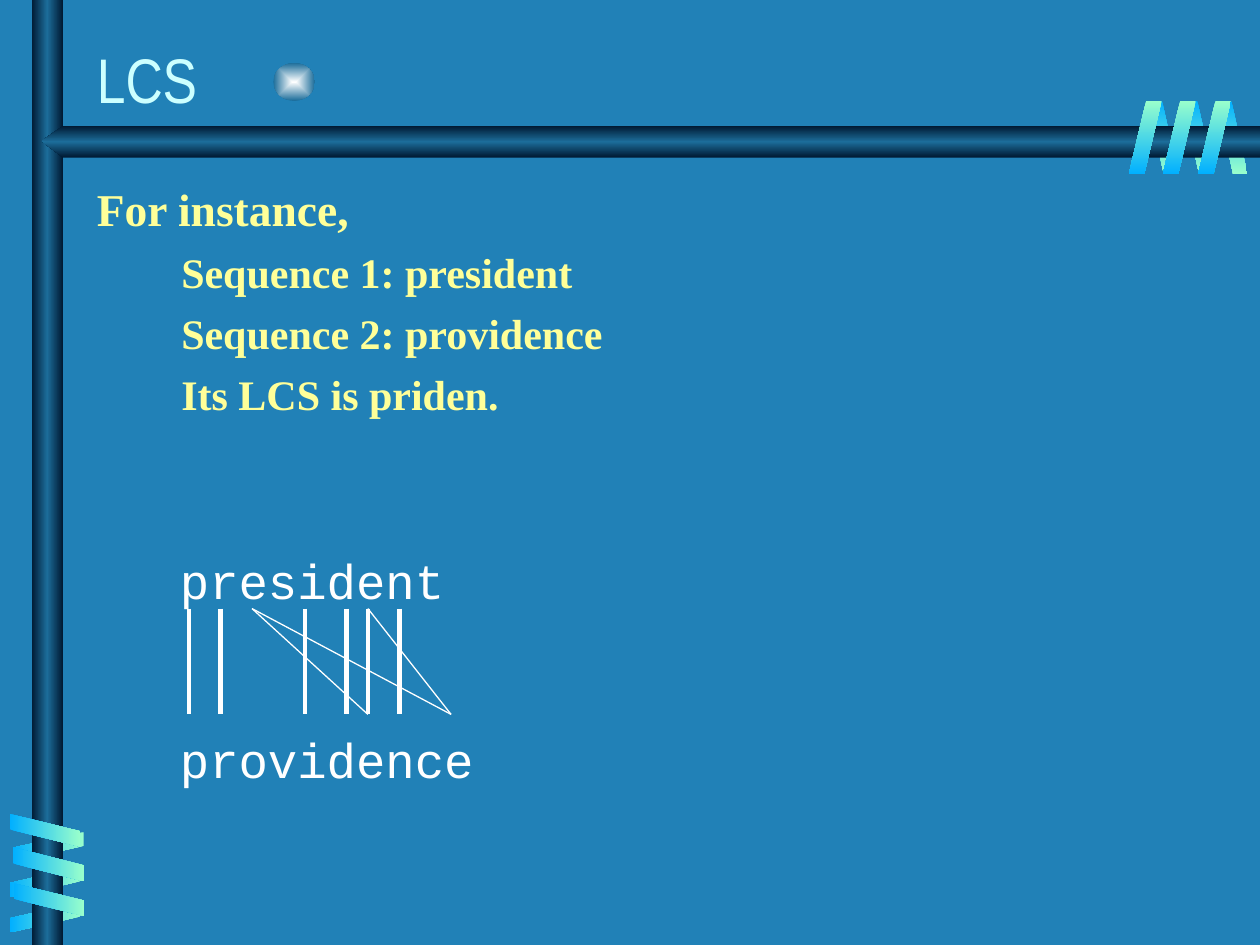
import pptx
import pptx.dml.color
import pptx.enum.dml
import pptx.enum.shapes
import pptx.enum.text
import pptx.oxml
import pptx.oxml.ns
import pptx.util

Inches = pptx.util.Inches
Pt = pptx.util.Pt
Shapes = pptx.enum.shapes.MSO_SHAPE
Anchor = pptx.enum.text.MSO_ANCHOR

BLUE, MINT = "01B0FF", "99FFCC"
NAVY, STEEL = "001932", "1C6D9A"
WHITE, YELLOW, ICE = "FFFFFF", "FFFF99", "CCFFFF"


def color(hex_value):
    return pptx.dml.color.RGBColor.from_string(hex_value)


class SlideBuilder:
    title = {"name": "Arial Narrow", "size": Pt(36), "color": ICE}
    heading = {"name": "Times New Roman", "size": Pt(26), "bold": True, "color": YELLOW}
    detail = {**heading, "size": Pt(24)}
    sequence = {"name": "Courier New", "size": Pt(28), "color": WHITE}

    def __init__(self, slide):
        self.slide = slide

    def background(self, hex_value):
        fill = self.slide.background.fill
        fill.solid()
        fill.fore_color.rgb = color(hex_value)

    def gradient(self, shape, colors, angle=None):
        step = 100000 // (len(colors) - 1)
        stops = "".join(
            f'<a:gs pos="{i * step}"><a:srgbClr val="{c}"/></a:gs>'
            for i, c in enumerate(colors)
        )
        if angle is None:
            shade = ('<a:path path="rect"><a:fillToRect l="50000" t="50000" '
                     'r="50000" b="50000"/></a:path>')
        else:
            shade = f'<a:lin ang="{angle * 60000}" scaled="1"/>'
        namespace = pptx.oxml.ns.nsdecls("a")
        fill = pptx.oxml.parse_xml(
            f'<a:gradFill {namespace} rotWithShape="0">'
            f"<a:gsLst>{stops}</a:gsLst>{shade}</a:gradFill>"
        )
        shape.shadow.inherit = False
        shape.line.fill.background()
        shape.fill.background()
        properties = shape._element.spPr
        properties.replace(properties.find(pptx.oxml.ns.qn("a:noFill")), fill)

    def preset(self, kind, box, colors, angle=None):
        shape = self.slide.shapes.add_shape(kind, *map(Inches, box))
        self.gradient(shape, colors, angle)
        return shape

    def coil(self, boxes, colors, angle, rotation=0, flip=False):
        for box in boxes:
            strip = self.preset(Shapes.PARALLELOGRAM, box, colors, angle)
            strip.adjustments[0] = 0.53
            strip.rotation = rotation
            if flip:
                strip._element.spPr.xfrm.set("flipH", "1")

    def outline(self, points, colors, angle):
        corners = [(Inches(x), Inches(y)) for x, y in points]
        builder = self.slide.shapes.build_freeform(*corners[0])
        builder.add_line_segments(corners[1:], close=True)
        self.gradient(builder.convert_to_shape(), colors, angle)

    def text(self, box, lines, anchor=Anchor.TOP):
        frame = self.slide.shapes.add_textbox(*map(Inches, box)).text_frame
        frame.word_wrap = True
        frame.vertical_anchor = anchor
        for i, (words, style, indent) in enumerate(lines):
            paragraph = frame.add_paragraph() if i else frame.paragraphs[0]
            if i:
                paragraph.space_before = Pt(6)
            if indent:
                paragraph._p.get_or_add_pPr().set("marL", str(Inches(indent)))
            run = paragraph.add_run()
            run.text = words
            for key, value in style.items():
                if key == "color":
                    run.font.color.rgb = color(value)
                else:
                    setattr(run.font, key, value)

    def line(self, start, end, width):
        connector = self.slide.shapes.add_connector(
            pptx.enum.shapes.MSO_CONNECTOR.STRAIGHT, *map(Inches, (*start, *end))
        )
        connector.line.color.rgb = color(WHITE)
        connector.line.width = Pt(width)
        connector._element.spPr.append(
            pptx.oxml.parse_xml(f'<a:effectLst {pptx.oxml.ns.nsdecls("a")}/>')
        )


def main():
    deck = pptx.Presentation()
    deck.slide_width, deck.slide_height = Inches(10), Inches(7.5)
    page = SlideBuilder(deck.slides.add_slide(deck.slide_layouts[6]))
    page.background("2181B7")

    page.preset(Shapes.OVAL, (2.17, 0.5, 0.33, 0.3), ["FEFFFF", STEEL])
    page.coil([(x, 0.8, 0.24, 0.58) for x in (9.66, 9.39, 9.11)],
              [BLUE, MINT], 90, 180, True)
    page.coil([(0.27, 6.44, 0.23, 0.56), (0.24, 6.72, 0.24, 0.56), (0.24, 7, 0.24, 0.56)],
              [MINT, BLUE], 0, 90, True)
    bar = [NAVY, STEEL, NAVY]
    page.preset(Shapes.RECTANGLE, (0.25, 0, 0.25, 7.5), bar, 0)
    page.outline([(10, 1), (0.5, 1), (0.33, 1.12), (0.5, 1.25), (10, 1.25)], bar, 90)
    page.coil([(0.23, 6.31, 0.26, 0.56), (0.25, 6.58, 0.27, 0.56), (0.26, 6.86, 0.26, 0.56)],
              [BLUE, MINT], 0, 270)
    page.coil([(x, 0.8, 0.26, 0.58) for x in (9.51, 9.23, 8.96)], [MINT, BLUE], 90)

    page.text((0.67, 0.22, 8.3, 0.75), [("LCS", page.title, 0)], Anchor.BOTTOM)
    details = ("Sequence 1: president", "Sequence 2: providence", "Its LCS is priden.")
    page.text((0.67, 1.39, 9.08, 5.36),
              [("For instance,", page.heading, 0)]
              + [(words, page.detail, 0.67) for words in details])

    for word, top in (("president", 4.32), ("providence", 5.74)):
        page.text((1.33, top, 3.92, 0.55), [(word, page.sequence, 0)])

    upper, lower = 4.83, 5.67
    for x in (1.5, 1.75, 2.42, 2.75, 2.92, 3.17):
        page.line((x, upper), (x, lower), 2.5)
    for first, second in ((2, 2.92), (2, 3.58), (2.92, 3.58)):
        page.line((first, upper), (second, lower), 0.75)

    deck.save("out.pptx")


if __name__ == "__main__":
    main()
